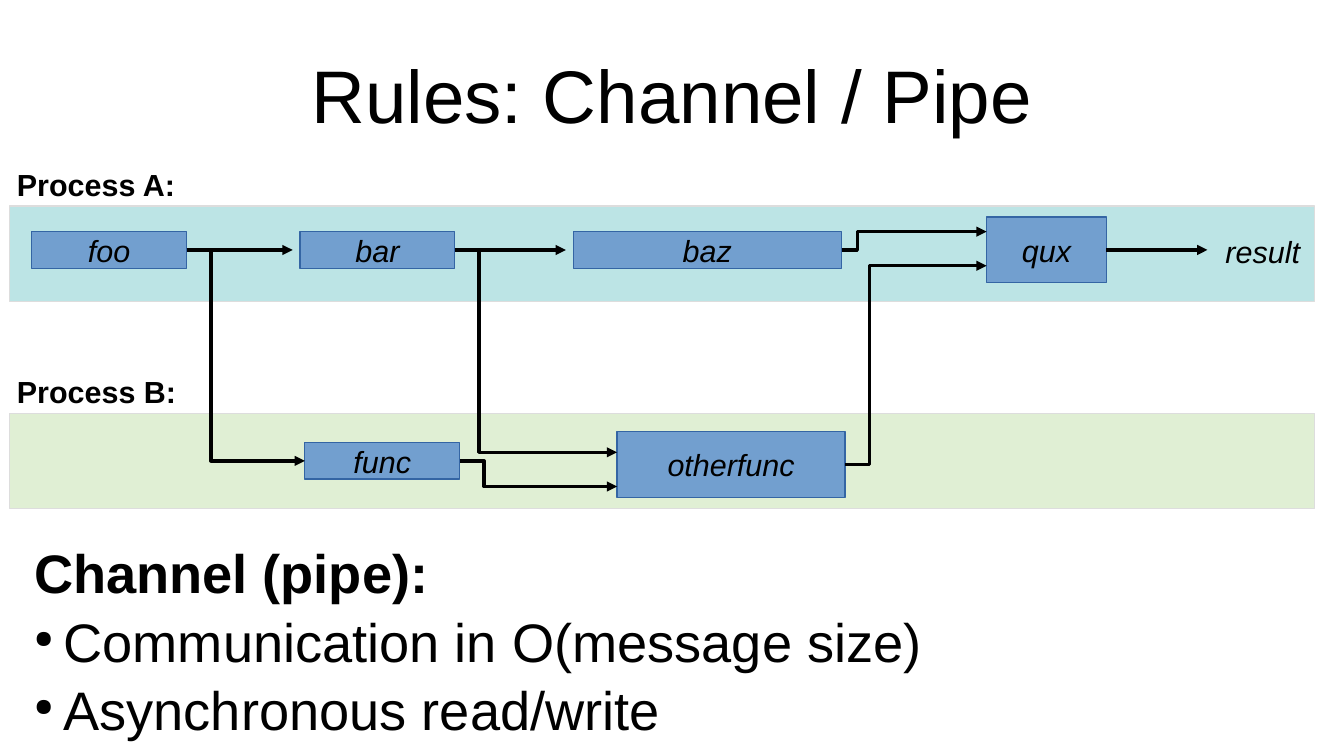
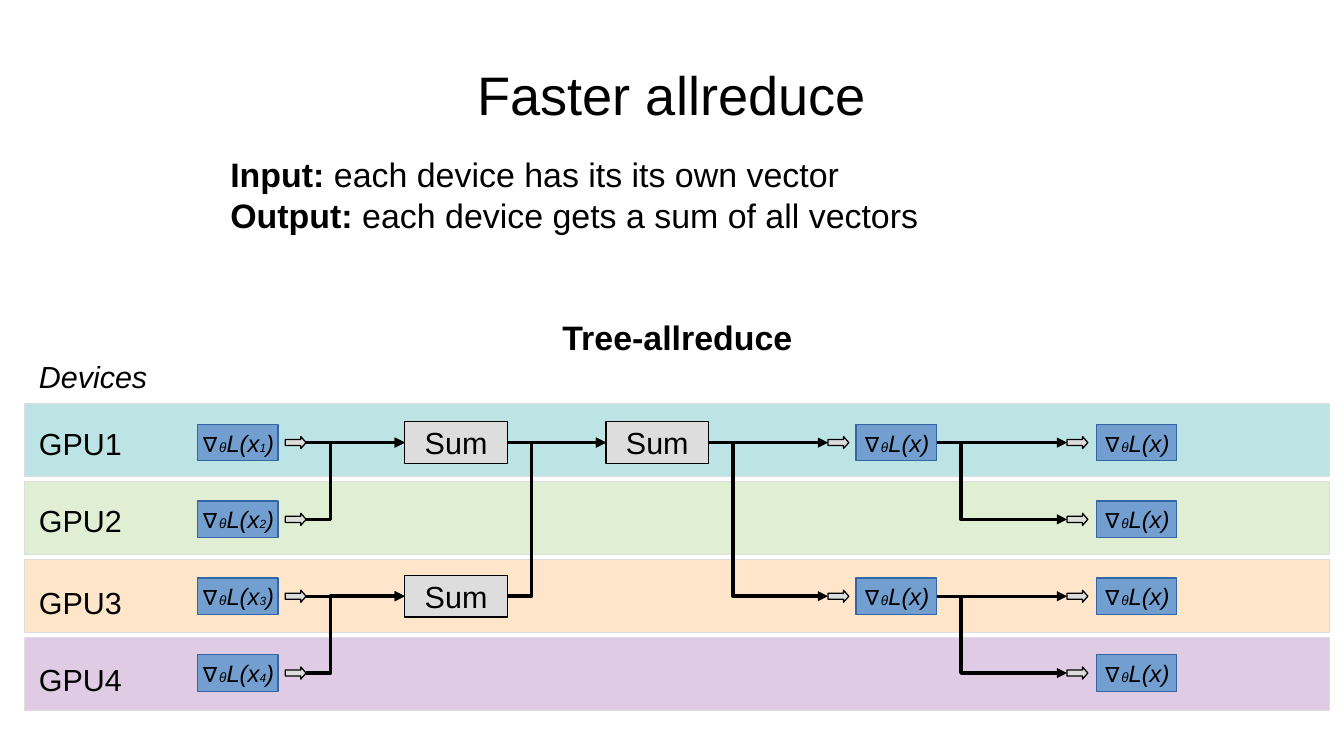
from lxml import etree
from pptx import Presentation
from pptx.dml.color import RGBColor
from pptx.enum.shapes import MSO_CONNECTOR, MSO_SHAPE
from pptx.enum.text import MSO_ANCHOR, MSO_AUTO_SIZE, PP_ALIGN
from pptx.oxml.ns import qn
from pptx.util import Inches, Pt

RECT, CHIP = MSO_SHAPE.RECTANGLE, MSO_SHAPE.RIGHT_ARROW
STRAIGHT, ELBOW = MSO_CONNECTOR.STRAIGHT, MSO_CONNECTOR.ELBOW
TOP, MIDDLE = MSO_ANCHOR.TOP, MSO_ANCHOR.MIDDLE
LEFT, CENTER = PP_ALIGN.LEFT, PP_ALIGN.CENTER

# Shared look
WIDE, HIGH = 11.02, 6.2
FONT, INK = "Arial", "000000"
BLUE = ("729FCF", "3465A4")
GREY = ("DDDDDD", INK)
TEAL, GREEN, PEACH, LILAC = "BCE4E5", "E0EFD4", "FFE5CA", "DFCCE4"
EDGE = "DDDDDD"
BAND = 10.7
KNEE = 0.2

# Channel slide: name -> left, middle, width, height
FLOW = {
    "foo": (0.26, 2.05, 1.27, 0.3),
    "bar": (2.46, 2.05, 1.27, 0.3),
    "baz": (4.7, 2.05, 2.2, 0.3),
    "qux": (8.09, 2.05, 0.98, 0.54),
    "func": (2.5, 3.78, 1.27, 0.3),
    "otherfunc": (5.06, 3.81, 1.87, 0.54),
}
LANES = [("Process A:", 1.69, TEAL), ("Process B:", 3.39, GREEN)]
STEPS = [("foo", 2.4), ("bar", 4.64), ("qux", 9.9)]
# From, to, height on the target, knee
BENDS = [
    ("foo", "func", 3.78, KNEE),
    ("func", "otherfunc", 3.99, KNEE),
    ("bar", "otherfunc", 3.71, KNEE),
    ("baz", "qux", 1.9, 0.13),
    ("otherfunc", "qux", 2.18, KNEE),
]
POINTS = ["Communication in O(message size)", "Asynchronous read/write"]

# Allreduce slide: GPU rows, label tops, columns of nodes
GPUS = [(TEAL, 3.44), (GREEN, 4.07), (PEACH, 4.74), (LILAC, 5.37)]
BAND_Y, BAND_STEP = 3.31, 0.64
ROW_Y, ROW_STEP = 3.63, 0.63
ALL, EVEN = (0, 1, 2, 3), (0, 2)
COLS = [
    ("own", "grad", 1.62, ALL), ("send", "chip", 2.34, ALL),
    ("pair", "sum", 3.32, EVEN), ("total", "sum", 4.97, (0,)),
    ("get", "chip", 6.79, EVEN), ("half", "grad", 7.02, EVEN),
    ("take", "chip", 8.75, ALL), ("end", "grad", 8.99, ALL),
]
SIZES = {"grad": (0.66, 0.3), "chip": (0.17, 0.1), "sum": (0.84, 0.34)}
WIRES = [
    ("send", "pair", [(0, 0), (1, 0), (2, 2), (3, 2)]),
    ("pair", "total", [(0, 0), (2, 0)]),
    ("total", "get", [(0, 0), (0, 2)]),
    ("half", "take", [(0, 0), (0, 1), (2, 2), (2, 3)]),
]
GOALS = [("Input:", " each device has its its own vector"),
         ("Output:", " each device gets a sum of all vectors")]


def tint(code):
    return RGBColor.from_string(code)


def write(para, text, size=18, bold=False, italic=False):
    run = para.add_run()
    run.text = text
    font = run.font
    font.name, font.size = FONT, Pt(size)
    font.bold, font.italic = bold, italic
    font.color.rgb = tint(INK)


def frame(shape, pad=(0.1, 0.05), anchor=TOP, align=LEFT, wrap=True):
    tf = shape.text_frame
    tf.auto_size = MSO_AUTO_SIZE.NONE
    tf.word_wrap, tf.vertical_anchor = wrap, anchor
    tf.margin_left = tf.margin_right = Inches(pad[0])
    tf.margin_top = tf.margin_bottom = Inches(pad[1])
    tf.paragraphs[0].alignment = align
    return tf


def head(deck, text, size):
    slide = deck.slides.add_slide(deck.slide_layouts[5])
    title = slide.shapes.title
    title.left, title.top = Inches(0.55), Inches(0.25)
    title.width, title.height = Inches(9.92), Inches(1.04)
    tf = frame(title, (0, 0), MIDDLE, CENTER)
    write(tf.paragraphs[0], text, size)
    return slide


def area(slide, x, y, w, h, **look):
    box = slide.shapes.add_textbox(*map(Inches, (x, y, w, h)))
    return frame(box, **look)


def label(slide, text, x, y, w, h=0.38, **style):
    write(area(slide, x, y, w, h).paragraphs[0], text, **style)


def block(slide, x, y, w, h, paint, runs=(), kind=RECT, italic=True):
    shape = slide.shapes.add_shape(kind, *map(Inches, (x, y, w, h)))
    shape.shadow.inherit = False
    shape.fill.solid()
    shape.fill.fore_color.rgb = tint(paint[0])
    shape.line.color.rgb = tint(paint[1])
    shape.line.width = Pt(0)
    if runs:
        tf = frame(shape, anchor=MIDDLE, align=CENTER, wrap=False)
        for text, size in runs:
            write(tf.paragraphs[0], text, size, italic=italic)
    return shape


def link(slide, start, x, y, knee=KNEE, goal=None):
    """Arrow from the right side of start to the point x, y."""
    x0 = start.left + start.width
    y0 = start.top + start.height // 2
    flat = abs(y - y0) < Inches(0.01)
    line = slide.shapes.add_connector(
        STRAIGHT if flat else ELBOW, x0, y0, x, y0 if flat else y)
    line.line.color.rgb = tint(INK)
    line.line.width = Pt(0)
    props = line._element.spPr
    etree.SubElement(props.find(qn("a:ln")), qn("a:tailEnd"), type="triangle")
    etree.SubElement(props, qn("a:effectLst"))
    if flat:
        line.begin_connect(start, 3)
        if goal is not None:
            line.end_connect(goal, 1)
    else:
        share = round(Inches(knee) / (x - x0) * 100000)
        guides = props.find(qn("a:prstGeom")).get_or_add_avLst()
        etree.SubElement(guides, qn("a:gd"), name="adj1", fmla=f"val {share}")


def bullet(para):
    props = para._p.get_or_add_pPr()
    gap = Inches(0.24)
    props.set("marL", str(gap))
    props.set("indent", str(-gap))
    etree.SubElement(props, qn("a:buSzPct"), val="45000")
    etree.SubElement(props, qn("a:buChar"), char="●")


def channel(deck):
    slide = head(deck, "Rules: Channel / Pipe", 44)
    for name, y, fill in LANES:
        block(slide, 0.08, y, BAND, 0.78, (fill, EDGE))
        label(slide, name, 0.04, y - 0.38, 1.82, bold=True)
    nodes = {name: block(slide, x, mid - h / 2, w, h, BLUE, [(name, 18)])
             for name, (x, mid, w, h) in FLOW.items()}

    # Arrows
    for name, x in STEPS:
        link(slide, nodes[name], Inches(x), Inches(2.05))
    for name, goal, y, knee in BENDS:
        link(slide, nodes[name], nodes[goal].left, Inches(y), knee)
    label(slide, "result", 9.95, 1.86, 0.91, italic=True)

    # Rules
    tf = area(slide, 0.28, 4.38, 9.92, 1.75, pad=(0, 0), anchor=MIDDLE)
    write(tf.paragraphs[0], "Channel (pipe):", 32, bold=True)
    for text in POINTS:
        para = tf.add_paragraph()
        para.space_before = Pt(2)
        bullet(para)
        write(para, text, 32)


def allreduce(deck):
    slide = head(deck, "Faster allreduce", 32)
    for i, (fill, y) in enumerate(GPUS):
        block(slide, 0.2, BAND_Y + i * BAND_STEP, BAND, 0.6, (fill, EDGE))
        label(slide, f"GPU{i + 1}", 0.22, y, 1.28)
    label(slide, "Devices", 0.22, 2.89, 1.28, italic=True)

    # Goals
    tf = area(slide, 1.79, 1.21, 7.53, 1.65)
    para = tf.paragraphs[0]
    for term, text in GOALS:
        write(para, term, 20, bold=True)
        write(para, text, 20)
        para = tf.add_paragraph()
    para.alignment, para.space_before = CENTER, Pt(48)
    write(para, "Tree-allreduce", 20, bold=True)

    # Nodes
    nodes = {}
    for col, kind, x, rows in COLS:
        w, h = SIZES[kind]
        for row in rows:
            spot = (x, ROW_Y + row * ROW_STEP - h / 2, w, h)
            if kind == "chip":
                node = block(slide, *spot, GREY, kind=CHIP)
                node.adjustments[1] = 0.435
            elif kind == "sum":
                node = block(slide, *spot, GREY, [("Sum", 18)], italic=False)
            else:
                sub = [(str(row + 1), 7)] if col == "own" else []
                runs = [("∇", 14), ("θ", 8), ("L(x", 14), *sub, (")", 14)]
                node = block(slide, *spot, BLUE, runs)
            nodes[col, row] = node

    # Arrows
    for col, goal, pairs in WIRES:
        for a, b in pairs:
            end = nodes[goal, b]
            link(slide, nodes[col, a], end.left, end.top + end.height // 2,
                 goal=end)


def main():
    deck = Presentation()
    deck.slide_width, deck.slide_height = Inches(WIDE), Inches(HIGH)
    channel(deck)
    allreduce(deck)
    deck.save("out.pptx")


if __name__ == "__main__":
    main()
